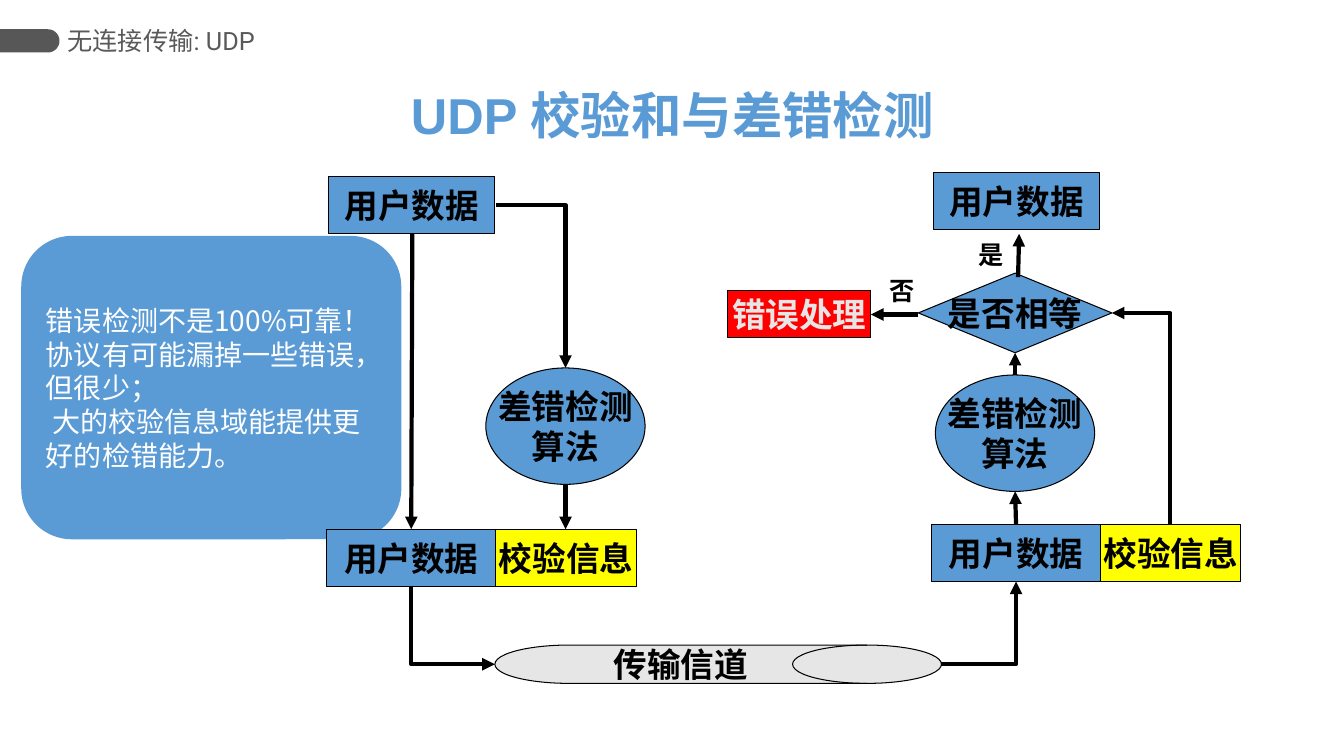
import math
import pptx
import pptx.util
import pptx.dml.color
import pptx.enum.shapes
import pptx.enum.text
import pptx.oxml
import pptx.oxml.ns

Rgb = pptx.dml.color.RGBColor
Kind = pptx.enum.shapes.MSO_SHAPE
Link = pptx.enum.shapes.MSO_CONNECTOR
Align = pptx.enum.text.PP_ALIGN
Anchor = pptx.enum.text.MSO_ANCHOR
Pt = pptx.util.Pt
qn = pptx.oxml.ns.qn

BLUE = Rgb(0x5B, 0x9B, 0xD5)
YELLOW = Rgb(0xFF, 0xFF, 0x00)
RED = Rgb(0xFF, 0x00, 0x00)
PALE = Rgb(0xE7, 0xE6, 0xE6)
WHITE = Rgb(0xFF, 0xFF, 0xFF)
BLACK = Rgb(0x00, 0x00, 0x00)
GREY = Rgb(0x59, 0x59, 0x59)
DARK = Rgb(0x57, 0x57, 0x57)

WIDE = pptx.util.Inches(13.33)
HIGH = pptx.util.Inches(7.5)
CJK = "Noto Sans CJK SC"
DATA, CHECK, ALGO = "用户数据", "校验信息", "差错检测\n算法"


def col(n):
    """Return the length of n of the hundred columns."""
    return round(WIDE * n / 100)


def row(n):
    """Return the length of n of the hundred rows."""
    return round(HIGH * n / 100)


def area(x, y, w, h):
    """Return a grid area as left, top, width and height."""
    return col(x), row(y), col(w), row(h)


def write(frame, text, size, color, bold=True, face=CJK, align=Align.CENTER,
          anchor=Anchor.MIDDLE, wrap=False):
    """Fill a text frame and format its runs."""
    frame.text = text
    frame.word_wrap = wrap
    frame.auto_size = pptx.enum.text.MSO_AUTO_SIZE.NONE
    frame.vertical_anchor = anchor
    for para in frame.paragraphs:
        para.alignment = align
        para.line_spacing = Pt(size * 1.2)
        para.space_before = Pt(0)
        for run in para.runs:
            font = run.font
            font.size, font.bold, font.name = Pt(size), bold, face
            font.color.rgb = color
            east = pptx.oxml.parse_xml(
                f'<a:ea {pptx.oxml.ns.nsdecls("a")} typeface="{CJK}"/>')
            run._r.rPr.find(qn("a:latin")).addnext(east)


def node(slide, kind, place, text, fill=BLUE, color=BLACK):
    """Add an outlined shape with a bold label."""
    shape = slide.shapes.add_shape(kind, *area(*place))
    shape.shadow.inherit = False
    shape.fill.solid()
    shape.fill.fore_color.rgb = fill
    shape.line.color.rgb = BLACK
    shape.line.width = Pt(0.75)
    write(shape.text_frame, text, 24, color)
    return shape


def label(slide, place, text):
    """Add a small bold branch label."""
    box = slide.shapes.add_textbox(*area(*place))
    write(box.text_frame, text, 18, BLACK, align=Align.LEFT, wrap=True)


def arrow(slide, kind, x, y, x2, y2):
    """Add a thick black arrow between two points."""
    line = slide.shapes.add_connector(kind, x, y, x2, y2)
    line.line.color.rgb = BLACK
    line.line.width = Pt(3)
    tail = line.line._get_or_add_ln()
    pptx.oxml.ns.nsdecls("a")
    tail.append(pptx.oxml.parse_xml(
        f'<a:tailEnd {pptx.oxml.ns.nsdecls("a")} type="triangle"/>'))
    line._element.spPr.append(pptx.oxml.parse_xml(
        f'<a:effectLst {pptx.oxml.ns.nsdecls("a")}/>'))
    return line


def go(slide, x, y, x2, y2):
    """Add a straight arrow between two grid points."""
    arrow(slide, Link.STRAIGHT, col(x), row(y), col(x2), row(y2))


def bend(slide, x, y, x2, y2, upright=False):
    """Add a one-corner arrow, leaving level or upright."""
    x, y, x2, y2 = col(x), row(y), col(x2), row(y2)
    down = y2 > y
    if upright:
        midx, midy = (x + x2) // 2, (y + y2) // 2
        dx, dy = abs(y2 - y) // 2, abs(x2 - x) // 2
        x, y, x2, y2 = midx + dx, midy - dy, midx - dx, midy + dy
    line = arrow(slide, Link.ELBOW, x, y, x2, y2)
    props = line._element.spPr
    props.find(qn("a:prstGeom")).set("prst", "bentConnector2")
    if upright:
        props.find(qn("a:xfrm")).set("rot", str((270 if down else 90) * 60000))


def head(slide):
    """Add the title, the section name and its tab."""
    title = slide.shapes.title
    title.left, title.top, title.width, title.height = area(29.63, 10.4, 40.8, 9.47)
    write(title.text_frame, "UDP 校验和与差错检测", 36, BLUE, face="Arial",
          anchor=Anchor.TOP, wrap=True)
    top, size = row(3.87), row(3.07)
    rad = size / 2
    mid = col(4.43) - rad
    curve = [(mid + rad * math.sin(math.radians(a)),
              top + rad - rad * math.cos(math.radians(a))) for a in range(0, 181, 10)]
    form = slide.shapes.build_freeform(0, top)
    form.add_line_segments(curve + [(0, top + size)], close=True)
    tab = form.convert_to_shape()
    tab.shadow.inherit = False
    tab.fill.solid()
    tab.fill.fore_color.rgb = DARK
    tab.line.fill.background()
    box = slide.shapes.add_textbox(*area(5.03, 2.53, 17.48, 5.6))
    box.text_frame.margin_left = box.text_frame.margin_right = 0
    write(box.text_frame, "无连接传输: UDP", 18, GREY, False, "Roboto", Align.LEFT)


def note(slide):
    """Add the rounded remark at the left."""
    card = node(slide, Kind.ROUNDED_RECTANGLE, (1.58, 31.2, 28.28, 40.13), "")
    card.line.fill.background()
    text = "错误检测不是100%可靠！\n协议有可能漏掉一些错误，但很少；\n 大的校验信息域能提供更好的检错能力。"
    write(card.text_frame, text, 20, WHITE, False, align=Align.LEFT, wrap=True)


def side(slide, x, low, top, oval):
    """Add the data, checksum and algorithm shapes of one host."""
    node(slide, Kind.RECTANGLE, (x, low, 12.6, 7.6), DATA)
    node(slide, Kind.RECTANGLE, (x + 12.6, low, 10.43, 7.6), CHECK, YELLOW)
    node(slide, Kind.RECTANGLE, (x + 0.15, top, 12.38, 7.6), DATA)
    node(slide, Kind.OVAL, (*oval, 11.85, 15.4), ALGO)


def main():
    """Build the slide and save it."""
    deck = pptx.Presentation()
    deck.slide_width, deck.slide_height = WIDE, HIGH
    slide = deck.slides.add_slide(deck.slide_layouts[5])
    note(slide)
    head(slide)
    side(slide, 24.3, 70, 23.33, (36.15, 48.67))
    side(slide, 69.3, 69.33, 22.8, (69.6, 49.6))
    node(slide, Kind.FLOWCHART_DIRECT_ACCESS_STORAGE,
         (36.82, 85.33, 33.23, 5.07), "传输信道", PALE)
    node(slide, Kind.FLOWCHART_DECISION, (68.33, 36.13, 14.4, 10.53), "是否相等")
    node(slide, Kind.FLOWCHART_PROCESS, (54.15, 38.4, 10.65, 6.27), "错误处理", RED, PALE)
    label(slide, (72.08, 30.93, 3.45, 5.33), "是")
    label(slide, (65.48, 35.73, 3.45, 5.33), "否")
    for ends in ((42.08, 64.07, 42.08, 70), (30.68, 30.93, 30.6, 70),
                 (75.6, 69.33, 75.53, 65), (75.53, 49.6, 75.53, 46.67),
                 (75.75, 36.67, 75.83, 30.93), (68.33, 41.6, 64.8, 41.6)):
        go(slide, *ends)
    bend(slide, 36.9, 27.13, 42.08, 48.67)
    bend(slide, 70.05, 87.87, 75.6, 76.93)
    bend(slide, 30.6, 77.6, 36.82, 87.87, True)
    bend(slide, 87.08, 69.33, 82.73, 41.4, True)
    deck.save("out.pptx")


if __name__ == "__main__":
    main()
